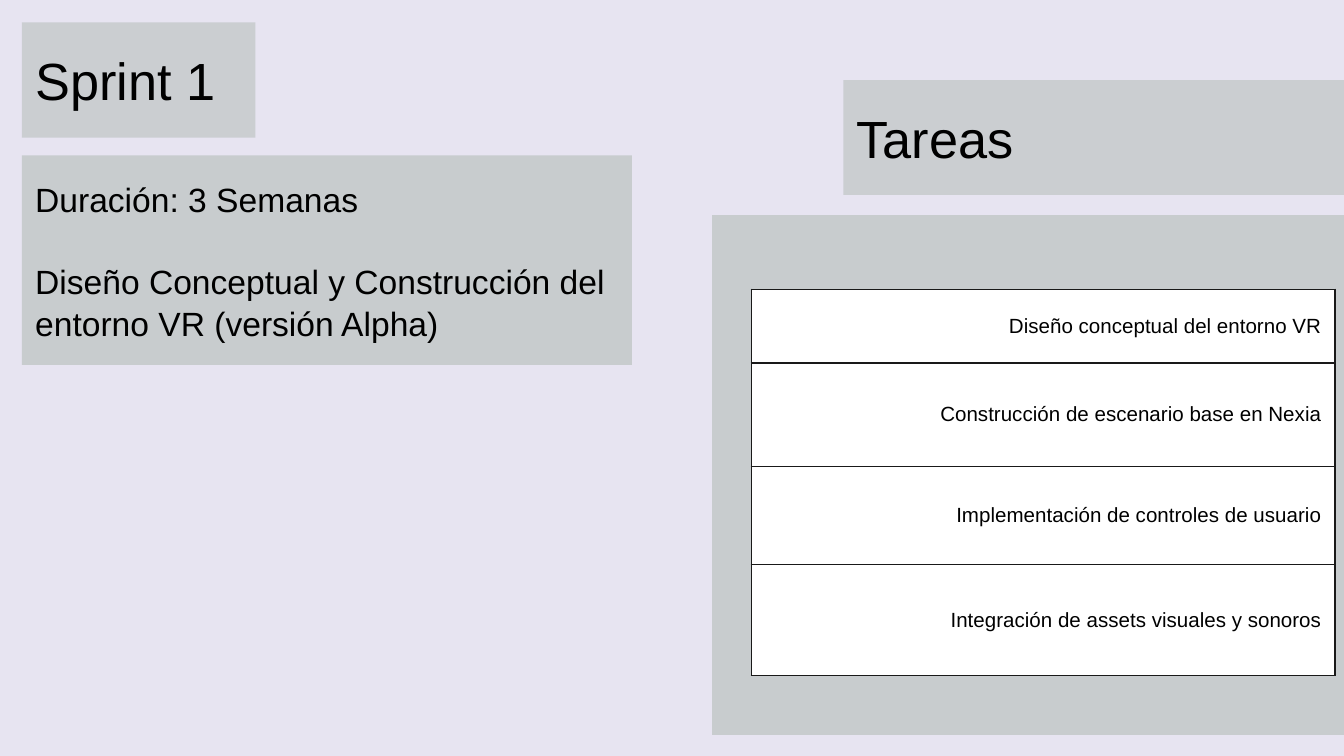
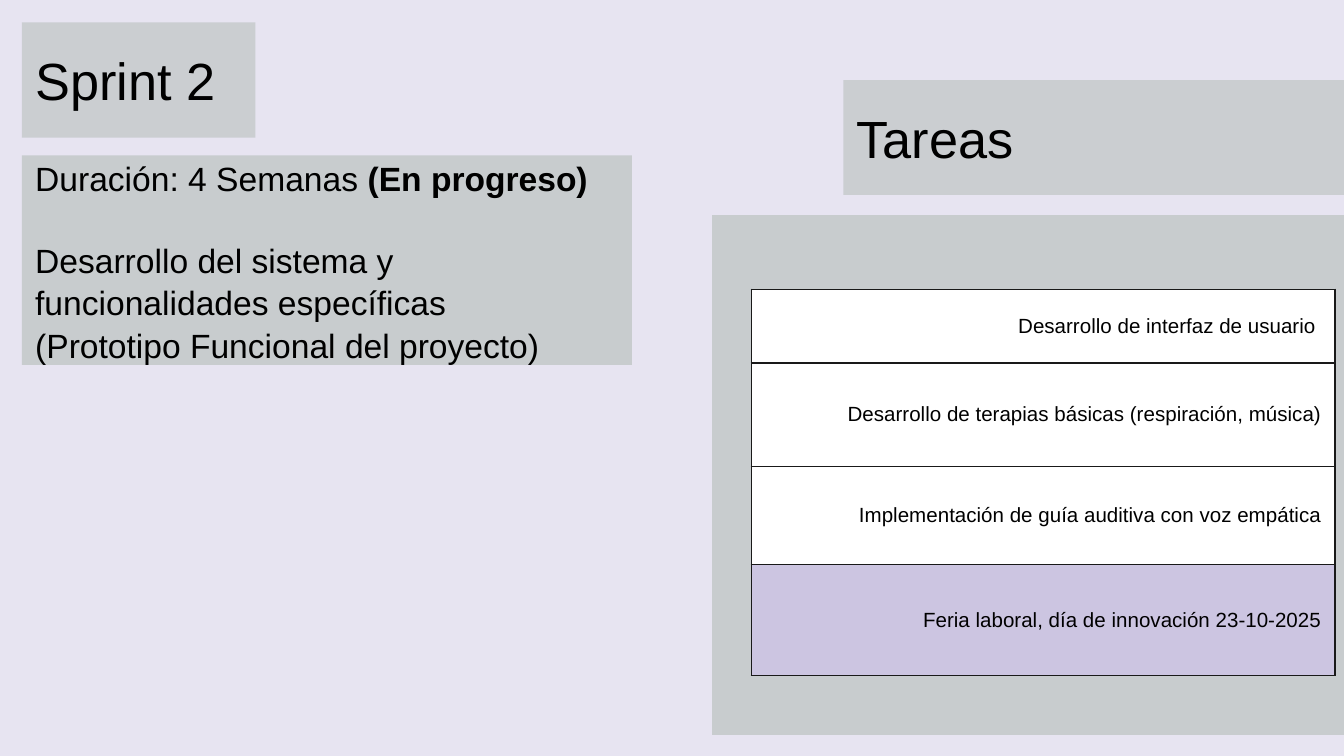
from lxml import etree
from pptx import Presentation
from pptx.dml.color import RGBColor
from pptx.enum.shapes import MSO_SHAPE
from pptx.enum.text import MSO_ANCHOR, MSO_AUTO_SIZE, PP_ALIGN
from pptx.oxml.ns import qn
from pptx.util import Pt

RECTANGLE = MSO_SHAPE.RECTANGLE
MIDDLE = MSO_ANCHOR.MIDDLE
NO_AUTOFIT = MSO_AUTO_SIZE.NONE
LEFT, RIGHT = PP_ALIGN.LEFT, PP_ALIGN.RIGHT

FONT = "Arial"
COLORS = {
    "background": "E7E4F1",
    "band": "C4C9CA",
    "text": "000000",
    "cell": "FFFFFF",
    "milestone": "CCC5E1",
    "border": "191919",
}
TITLE_BOX = (11.75, 12, 125, 61.75)
SUMMARY_BOX = (11.75, 83.25, 326.75, 112.25)
TASKS_HEADING_BOX = (451.75, 43, 268.25, 61.5)
TASKS_PANEL_BOX = (381.5, 115.25, 338.5, 278.5)
TABLE_LEFT, TABLE_TOP, TABLE_WIDTH = 402.5, 155, 312.75
ROW_HEIGHTS = [39.5, 55.5, 52.5, 59.5]

# Each summary is a list of paragraphs, each a list of (text, bold) runs.
SPRINTS = [
    {
        "title": "Sprint 1",
        "summary": [
            [("Duración: 3 Semanas", False)],
            [("Diseño Conceptual y Construcción del entorno VR (versión Alpha)", False)],
        ],
        "tasks": [
            "Diseño conceptual del entorno VR",
            "Construcción de escenario base en Nexia",
            "Implementación de controles de usuario",
            "Integración de assets visuales y sonoros",
        ],
        "milestones": [],
    },
    {
        "title": "Sprint 2",
        "summary": [
            [("Duración: 4 Semanas ", False), ("(En progreso)", True)],
            [("Desarrollo del sistema y funcionalidades específicas ", False),
             ("\v(Prototipo Funcional del proyecto)", False)],
        ],
        "tasks": [
            "Desarrollo de interfaz de usuario ",
            "Desarrollo de terapias básicas (respiración, música)",
            "Implementación de guía auditiva con voz empática",
            "Feria laboral, día de innovación 23-10-2025",
        ],
        "milestones": [3],
    },
]


def style_band(band, box, opacity):
    """Place a shape as a translucent grey band with left-aligned, centred-height text."""
    band.left, band.top, band.width, band.height = map(Pt, box)
    band.fill.solid()
    band.fill.fore_color.rgb = RGBColor.from_string(COLORS["band"])
    color = band.fill._xPr.find(qn("a:solidFill"))[0]
    etree.SubElement(color, qn("a:alpha"), val=str(opacity * 1000))
    band.line.fill.background()
    frame = band.text_frame
    frame.word_wrap = True
    frame.auto_size = NO_AUTOFIT
    frame.vertical_anchor = MIDDLE
    frame.margin_left = frame.margin_right = Pt(7.2)
    frame.margin_top = frame.margin_bottom = Pt(7.2)


def style_paragraph(paragraph, size, alignment=LEFT):
    paragraph.alignment = alignment
    for run in paragraph.runs:
        run.font.name = FONT
        run.font.size = Pt(size)
        run.font.color.rgb = RGBColor.from_string(COLORS["text"])


prs = Presentation()
prs.slide_width, prs.slide_height = Pt(720), Pt(405)
title_only = prs.slide_layouts[5]

for sprint in SPRINTS:
    slide = prs.slides.add_slide(title_only)
    slide.background.fill.solid()
    slide.background.fill.fore_color.rgb = RGBColor.from_string(COLORS["background"])

    title = slide.shapes.title
    style_band(title, TITLE_BOX, 80)
    title.text_frame.text = sprint["title"]
    style_paragraph(title.text_frame.paragraphs[0], 28)

    summary, tasks_heading, tasks_panel = [
        slide.shapes.add_shape(RECTANGLE, *map(Pt, box))
        for box in (SUMMARY_BOX, TASKS_HEADING_BOX, TASKS_PANEL_BOX)
    ]
    for band, box, opacity in (
        (summary, SUMMARY_BOX, 88),
        (tasks_heading, TASKS_HEADING_BOX, 80),
        (tasks_panel, TASKS_PANEL_BOX, 88),
    ):
        band.shadow.inherit = False
        style_band(band, box, opacity)

    for index, parts in enumerate(sprint["summary"]):
        frame = summary.text_frame
        paragraph = frame.add_paragraph() if index else frame.paragraphs[0]
        for text, bold in parts:
            if text.startswith("\v"):
                paragraph.add_line_break()
            run = paragraph.add_run()
            run.text = text.lstrip("\v")
            run.font.bold = bold
        style_paragraph(paragraph, 18)
        paragraph.line_spacing = 1.05
        paragraph.space_before = Pt(21.5 * index)

    tasks_heading.text_frame.text = "Tareas"
    style_paragraph(tasks_heading.text_frame.paragraphs[0], 28)

    tasks = slide.shapes.add_table(
        len(ROW_HEIGHTS), 1, Pt(TABLE_LEFT), Pt(TABLE_TOP),
        Pt(TABLE_WIDTH), Pt(sum(ROW_HEIGHTS))).table
    tasks.first_row = tasks.horz_banding = False
    for index, (task, height) in enumerate(zip(sprint["tasks"], ROW_HEIGHTS)):
        tasks.rows[index].height = Pt(height)
        cell = tasks.cell(index, 0)
        cell.text_frame.text = task
        style_paragraph(cell.text_frame.paragraphs[0], 11, RIGHT)
        cell.vertical_anchor = MIDDLE
        fill_name = "milestone" if index in sprint["milestones"] else "cell"
        cell.fill.solid()
        cell.fill.fore_color.rgb = RGBColor.from_string(COLORS[fill_name])
        properties = cell._tc.get_or_add_tcPr()
        for position, side in enumerate(("a:lnL", "a:lnR", "a:lnT", "a:lnB")):
            border = etree.Element(qn(side), w=str(Pt(1)))
            line_fill = etree.SubElement(border, qn("a:solidFill"))
            etree.SubElement(line_fill, qn("a:srgbClr"), val=COLORS["border"])
            properties.insert(position, border)

prs.save("out.pptx")
